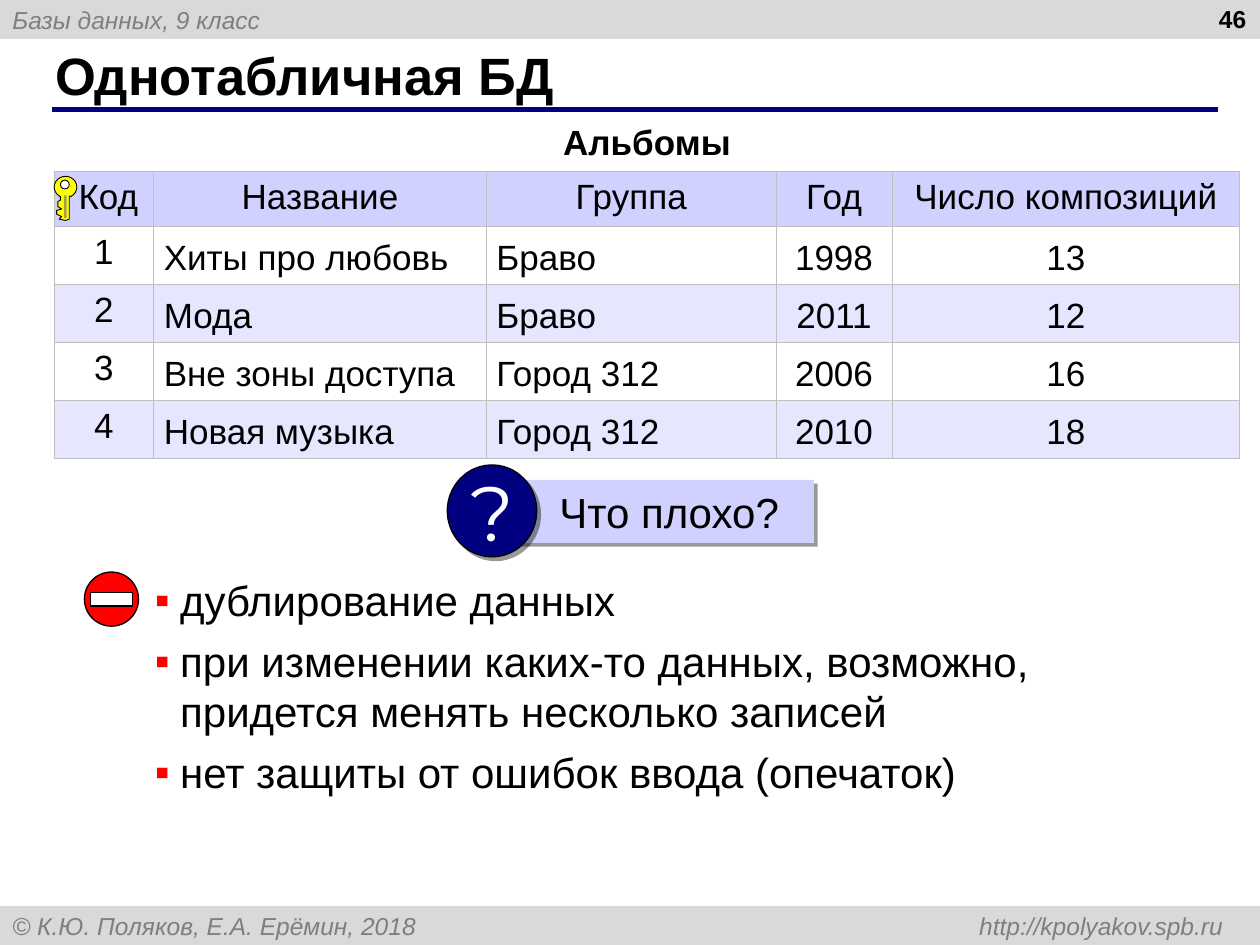
from typing import NamedTuple

from lxml import etree
from pptx import Presentation
from pptx.dml.color import RGBColor
from pptx.enum.shapes import MSO_CONNECTOR, MSO_SHAPE
from pptx.enum.text import MSO_ANCHOR, MSO_AUTO_SIZE, PP_ALIGN
from pptx.oxml.ns import qn
from pptx.util import Inches, Pt

LEFT, CENTER, RIGHT = PP_ALIGN.LEFT, PP_ALIGN.CENTER, PP_ALIGN.RIGHT
TOP, MIDDLE = MSO_ANCHOR.TOP, MSO_ANCHOR.MIDDLE
RECTANGLE, OVAL = MSO_SHAPE.RECTANGLE, MSO_SHAPE.OVAL
NO_AUTOFIT = MSO_AUTO_SIZE.NONE
STRAIGHT = MSO_CONNECTOR.STRAIGHT
BLACK, WHITE, NAVY, RED, YELLOW = "000000", "FFFFFF", "000080", "FF0000", "FFFF00"
BAND_GRAY, TEXT_GRAY, BORDER_GRAY = "D9D9D9", "7F7F7F", "BFBFBF"
LILAC, PALE_LILAC = "D1D1FF", "E6E6FF"
PLAIN_TABLE_STYLE = "{2D5ABB26-0587-4C30-8999-92F81FD0307C}"


class Box(NamedTuple):
    left: float
    top: float
    width: float
    height: float


class Style(NamedTuple):
    size: float
    color: str = BLACK
    bold: bool = False
    italic: bool = False
    font: str = "Arial"


class Figure(NamedTuple):
    kind: int
    box: Box
    fill: str
    line_width: float = 0


class Column(NamedTuple):
    heading: str
    width: float
    values: tuple
    alignment: int


BAND_STYLE = Style(14, TEXT_GRAY, italic=True)
CELL_STYLE = Style(20)
COLUMNS = [
    Column("Код", 0.79, ("1", "2", "3", "4"), CENTER),
    Column("Название", 2.64, ("Хиты про любовь", "Мода", "Вне зоны доступа", "Новая музыка"), LEFT),
    Column("Группа", 2.3, ("Браво", "Браво", "Город 312", "Город 312"), LEFT),
    Column("Год", 0.92, ("1998", "2011", "2006", "2010"), CENTER),
    Column("Число композиций", 2.76, ("13", "12", "16", "18"), CENTER),
]
ROW_HEIGHTS = [0.43, 0.44] + [0.46] * 4
DRAWBACKS = [
    "дублирование данных",
    "при изменении каких-то данных, возможно, придется менять несколько записей",
    "нет защиты от ошибок ввода (опечаток)",
]
STOP_SIGN = [
    Figure(OVAL, Box(0.67, 4.54, 0.43, 0.43), RED, 0.75),
    Figure(RECTANGLE, Box(0.72, 4.7, 0.33, 0.11), WHITE, 0.75),
]
KEY_HEAD = [
    Figure(OVAL, Box(0.43, 1.4, 0.18, 0.17), YELLOW, 0.5),
    Figure(OVAL, Box(0.48, 1.43, 0.07, 0.07), WHITE, 0.5),
]
KEY_BLADE = [
    (0.55, 1.55), (0.55, 1.74), (0.52, 1.75), (0.47, 1.74), (0.49, 1.72), (0.45, 1.7),
    (0.45, 1.67), (0.49, 1.66), (0.46, 1.64), (0.46, 1.6), (0.48, 1.59), (0.48, 1.56),
]
KEY_GROOVE = Figure(RECTANGLE, Box(0.51, 1.55, 0.02, 0.18), "A5A149")


def rgb(color: str) -> RGBColor:
    return RGBColor.from_string(color)


def inches(box: Box) -> list:
    return [Inches(length) for length in box]


def add_element(parent, tag: str, **attributes):
    return etree.SubElement(parent, qn(tag), attributes)


def add_color(parent, color: str):
    return add_element(parent, "a:srgbClr", val=color)


def place(shape, box: Box) -> None:
    shape.left, shape.top, shape.width, shape.height = inches(box)


def format_runs(paragraph, style: Style, alignment=LEFT) -> None:
    paragraph.alignment = alignment
    for run in paragraph.runs:
        font = run.font
        font.name, font.size = style.font, Pt(style.size)
        font.bold, font.italic = style.bold, style.italic
        font.color.rgb = rgb(style.color)


def write(shape, text: str, style: Style, alignment=LEFT, anchor=MIDDLE, wrap=True) -> None:
    frame = shape.text_frame
    frame.text = text
    frame.word_wrap = wrap
    frame.auto_size = NO_AUTOFIT
    frame.vertical_anchor = anchor
    format_runs(frame.paragraphs[0], style, alignment)


def paint(shape, fill: str, line_width: float) -> None:
    shape.shadow.inherit = False
    shape.fill.solid()
    shape.fill.fore_color.rgb = rgb(fill)
    if line_width:
        shape.line.color.rgb = rgb(BLACK)
        shape.line.width = Pt(line_width)
    else:
        shape.line.fill.background()


def draw(shapes, figure: Figure):
    shape = shapes.add_shape(figure.kind, *inches(figure.box))
    paint(shape, figure.fill, figure.line_width)
    return shape


def cast_shadow(shape) -> None:
    effects = shape._element.spPr.find(qn("a:effectLst"))
    shadow = add_element(effects, "a:outerShdw", blurRad="0", dist=str(Pt(3)),
                         dir="2700000", algn="tl", rotWithShape="0")
    add_element(add_color(shadow, BLACK), "a:alpha", val="40000")


def add_bullet(paragraph) -> None:
    properties = paragraph._p.get_or_add_pPr()
    properties.set("marL", str(Inches(0.2)))
    properties.set("indent", str(-Inches(0.2)))
    add_color(add_element(properties, "a:buClr"), RED)
    add_element(properties, "a:buFont", typeface="Arial")
    add_element(properties, "a:buChar", char="▪")


def add_borders(cell, sides: tuple) -> None:
    properties = cell._tc.get_or_add_tcPr()
    for position, side in enumerate(sides):
        line = etree.Element(qn(f"a:{side}"), w=str(Pt(0.45)))
        add_color(add_element(line, "a:solidFill"), BORDER_GRAY)
        properties.insert(position, line)


def fill_cell(cell, text: str, style: Style, alignment, fill: str) -> None:
    cell.text = text
    format_runs(cell.text_frame.paragraphs[0], style, alignment)
    cell.fill.solid()
    cell.fill.fore_color.rgb = rgb(fill)
    add_borders(cell, ("lnL", "lnR", "lnT", "lnB"))


def add_albums(slide) -> None:
    box = Box(0.43, 0.93, sum(column.width for column in COLUMNS), sum(ROW_HEIGHTS))
    table = slide.shapes.add_table(len(ROW_HEIGHTS), len(COLUMNS), *inches(box)).table
    table._tbl.tblPr.find(qn("a:tableStyleId")).text = PLAIN_TABLE_STYLE
    table.first_row = table.horz_banding = False
    for row, height in zip(table.rows, ROW_HEIGHTS):
        row.height = Inches(height)
    caption = table.cell(0, 0)
    caption.merge(table.cell(0, len(COLUMNS) - 1))
    caption.text = "Альбомы"
    format_runs(caption.text_frame.paragraphs[0], Style(20, bold=True), CENTER)
    for index, column in enumerate(COLUMNS):
        table.columns[index].width = Inches(column.width)
        add_borders(table.cell(0, index), ("lnB",))
        fill_cell(table.cell(1, index), column.heading, CELL_STYLE, CENTER, LILAC)
        for row, value in enumerate(column.values, 2):
            cell = table.cell(row, index)
            fill_cell(cell, value, CELL_STYLE, column.alignment, PALE_LILAC if row % 2 else WHITE)
            if index:
                cell.vertical_anchor = MIDDLE
                cell.margin_left = cell.margin_right = Inches(0.08)
                cell.text_frame.paragraphs[0].line_spacing = 1.15
    table.cell(1, 0).margin_left = Inches(0.17)


def add_bands(slide) -> None:
    header = draw(slide.shapes, Figure(RECTANGLE, Box(0, 0, 10, 0.31), BAND_GRAY))
    write(header, "Базы данных, 9 класс", BAND_STYLE)
    footer = draw(slide.shapes, Figure(RECTANGLE, Box(0, 7.19, 10, 0.31), BAND_GRAY))
    write(footer, "© К.Ю. Поляков, Е.А. Ерёмин, 2018\thttp://kpolyakov.spb.ru", BAND_STYLE)
    tabs = add_element(footer.text_frame.paragraphs[0]._p.get_or_add_pPr(), "a:tabLst")
    add_element(tabs, "a:tab", pos=str(Inches(9.61)), algn="r")
    number = slide.shapes.add_textbox(*inches(Box(7.66, -0.02, 2.33, 0.52)))
    write(number, "46", Style(14, bold=True), RIGHT, TOP)


def add_title(slide) -> None:
    title = slide.shapes.title
    place(title, Box(0.34, 0.33, 9.16, 0.52))
    write(title, "Однотабличная БД", Style(30, bold=True))
    ends = [Inches(length) for length in (0.41, 0.87, 9.67, 0.87)]
    rule = slide.shapes.add_connector(STRAIGHT, *ends)
    rule.line.color.rgb = rgb(NAVY)
    rule.line.width = Pt(3)
    add_element(rule._element.spPr, "a:effectLst")


def add_drawbacks(slide) -> None:
    body = slide.placeholders[1]
    place(body, Box(1.13, 4.51, 8.54, 1.72))
    frame = body.text_frame
    frame.text = "\n".join(DRAWBACKS)
    frame.auto_size = NO_AUTOFIT
    for index, paragraph in enumerate(frame.paragraphs):
        add_bullet(paragraph)
        paragraph.space_before = Pt(6 if index else 0)
        format_runs(paragraph, Style(24))


def add_icons(slide) -> None:
    sign = slide.shapes.add_group_shape().shapes
    key = slide.shapes.add_group_shape().shapes
    for shapes, figures in ((sign, STOP_SIGN), (key, KEY_HEAD)):
        for figure in figures:
            draw(shapes, figure)
    points = [(Inches(x), Inches(y)) for x, y in KEY_BLADE]
    builder = key.build_freeform(*points[0])
    builder.add_line_segments(points[1:], close=False)
    paint(builder.convert_to_shape(), YELLOW, 0.5)
    draw(key, KEY_GROOVE)


def add_question(slide) -> None:
    shapes = slide.shapes.add_group_shape().shapes
    plate = draw(shapes, Figure(RECTANGLE, Box(4.06, 3.81, 2.4, 0.5), LILAC))
    write(plate, "Что плохо?", Style(24), anchor=TOP)
    plate.text_frame.margin_left = Inches(0.38)
    badge = draw(shapes, Figure(OVAL, Box(3.55, 3.69, 0.71, 0.73), NAVY, 0.75))
    write(badge, "?", Style(44, WHITE, font="Montserrat"), CENTER, wrap=False)
    for shape in (plate, badge):
        cast_shadow(shape)


def main() -> None:
    presentation = Presentation()
    presentation.slide_width, presentation.slide_height = Inches(10), Inches(7.5)
    slide = presentation.slides.add_slide(presentation.slide_layouts[1])
    for add_part in (add_bands, add_title, add_albums, add_drawbacks, add_icons, add_question):
        add_part(slide)
    presentation.save("out.pptx")


if __name__ == "__main__":
    main()
